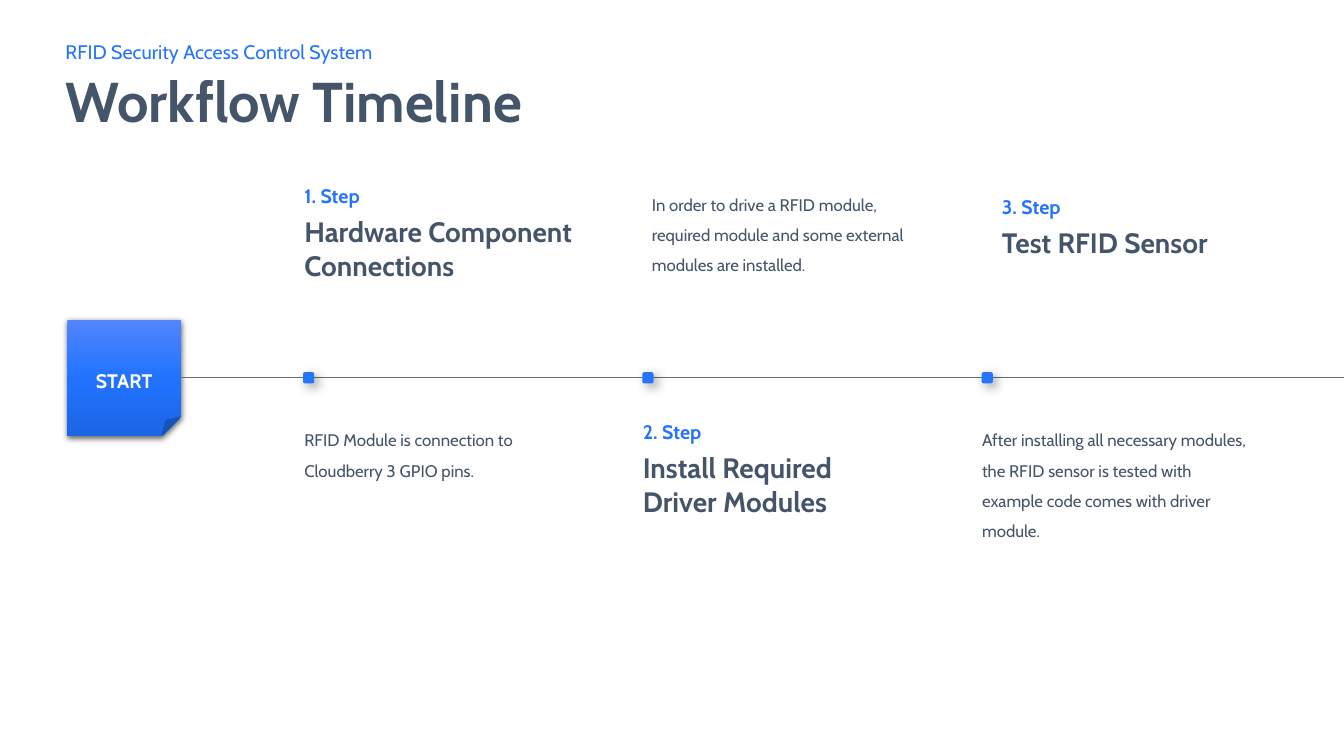
from dataclasses import dataclass
from lxml.etree import SubElement
from pptx import Presentation
from pptx.dml.color import RGBColor
from pptx.enum.shapes import MSO_CONNECTOR, MSO_SHAPE
from pptx.enum.text import MSO_ANCHOR, MSO_AUTO_SIZE, PP_ALIGN
from pptx.oxml.ns import qn
from pptx.util import Cm, Pt


@dataclass(frozen=True)
class Theme:
    font: str = "Cabin"
    blue: str = "2574FB"
    slate: str = "445469"
    line: str = "656D78"
    white: str = "FFFFFF"
    shadow: str = "000000"
    gradient: tuple = ((0, "5285FE"), (50, "2173FF"), (100, "1B66E5"))
    title: int = 40
    heading: int = 20
    label: int = 14
    body: int = 12


T = Theme()


def write(tf, lines, size, color, bold=False, spacing=1.0, first=True):
    """Add one paragraph per line, all in the same style."""
    tf.word_wrap = True
    for i, line in enumerate(lines):
        p = tf.paragraphs[0] if first and i == 0 else tf.add_paragraph()
        p.text = line
        p.line_spacing = spacing
        p.space_before = Pt(0)
        p.font.name, p.font.size, p.font.bold = T.font, Pt(size), bold
        p.font.color.rgb = RGBColor.from_string(color)


def add_shadow(shape, alpha, blur, dist, angle):
    """Give the shape an outer shadow; lengths in points, angle in degrees."""
    shape.shadow.inherit = False
    effects = shape._element.spPr.find(qn("a:effectLst"))
    outer = SubElement(effects, qn("a:outerShdw"), blurRad=str(Pt(blur)), dist=str(Pt(dist)),
                       dir=str(angle * 60000), algn="ctr", rotWithShape="0")
    clr = SubElement(outer, qn("a:srgbClr"), val=T.shadow)
    SubElement(clr, qn("a:alpha"), val=str(alpha * 1000))


prs = Presentation()
prs.slide_width, prs.slide_height = Cm(33.87), Cm(19.05)
s = prs.slides.add_slide(prs.slide_layouts[5])

# Title and subtitle
title = s.shapes.title
title.left, title.top, title.width, title.height = Cm(1.4), Cm(1.73), Cm(25.5), Cm(2.54)
subtitle = s.shapes.add_textbox(Cm(1.4), Cm(0.94), Cm(25.5), Cm(0.74))
for sp, text, size, color, bold in ((title, "Workflow Timeline", T.title, T.slate, True),
                                    (subtitle, "RFID Security Access Control System",
                                     T.label, T.blue, False)):
    tf = sp.text_frame
    write(tf, [text], size, color, bold, 0.9)
    tf.auto_size = MSO_AUTO_SIZE.NONE
    tf.vertical_anchor = MSO_ANCHOR.TOP
    tf.paragraphs[0].alignment = PP_ALIGN.LEFT

# Start note
axis_y = 9.52
start = s.shapes.add_shape(MSO_SHAPE.FOLDED_CORNER, Cm(1.7), Cm(8.06), Cm(2.86), Cm(2.92))
start.line.fill.background()
start.fill.gradient()
start.fill.gradient_angle = 270
stops = start._element.spPr.find(".//" + qn("a:gsLst"))
stops.clear()
for pos, color in T.gradient:
    SubElement(SubElement(stops, qn("a:gs"), pos=str(pos * 1000)), qn("a:srgbClr"), val=color)
add_shadow(start, 63, 4.5, 1.5, 90)
tf = start.text_frame
tf.margin_left = tf.margin_right = tf.margin_bottom = 0
tf.margin_top = Cm(0.6)
tf.vertical_anchor = MSO_ANCHOR.MIDDLE
write(tf, ["START"], T.label, T.white, True)
tf.paragraphs[0].alignment = PP_ALIGN.CENTER

# Time axis, running to the slide edge
axis = s.shapes.add_connector(MSO_CONNECTOR.STRAIGHT, Cm(4.56), Cm(axis_y), Cm(33.87), Cm(axis_y))
axis.line.color.rgb = RGBColor.from_string(T.line)
axis.line.width = Pt(0.75)
SubElement(axis._element.spPr, qn("a:effectLst"))

# Steps: heading lines, heading position, description, description position
above, below = 4.52, 10.46
steps = [
    (["Hardware Component", "Connections"], (7.42, above),
     "RFID Module is connection to Cloudberry 3 GPIO pins.", (7.42, below)),
    (["Install Required", "Driver Modules"], (15.95, below),
     "In order to drive a RFID module, required module and some external "
     "modules are installed.", (16.18, above)),
    (["Test RFID Sensor"], (25.0, above + 0.26),
     "After installing all necessary modules, the RFID sensor is tested with "
     "example code comes with driver module.", (24.5, below)),
]
marker_x, pitch, marker = 7.64, 8.55, 0.28
for i, (heading, head_at, body, body_at) in enumerate(steps):
    dot = s.shapes.add_shape(MSO_SHAPE.ROUNDED_RECTANGLE, Cm(marker_x + i * pitch),
                             Cm(axis_y - marker / 2), Cm(marker), Cm(marker))
    dot.fill.solid()
    dot.fill.fore_color.rgb = RGBColor.from_string(T.blue)
    dot.line.fill.background()
    add_shadow(dot, 40, 8, 4, 45)

    tf = s.shapes.add_textbox(Cm(head_at[0]), Cm(head_at[1]), Cm(8.8), Cm(2.74)).text_frame
    write(tf, [f"{i + 1}. Step"], T.label, T.blue, True)
    write(tf, heading, T.heading, T.slate, True, first=False)
    tf.paragraphs[1].space_before = Pt(5)

    tf = s.shapes.add_textbox(Cm(body_at[0]), Cm(body_at[1]), Cm(7.35), Cm(2.5)).text_frame
    write(tf, [body], T.body, T.slate, spacing=1.5)

prs.save("out.pptx")
